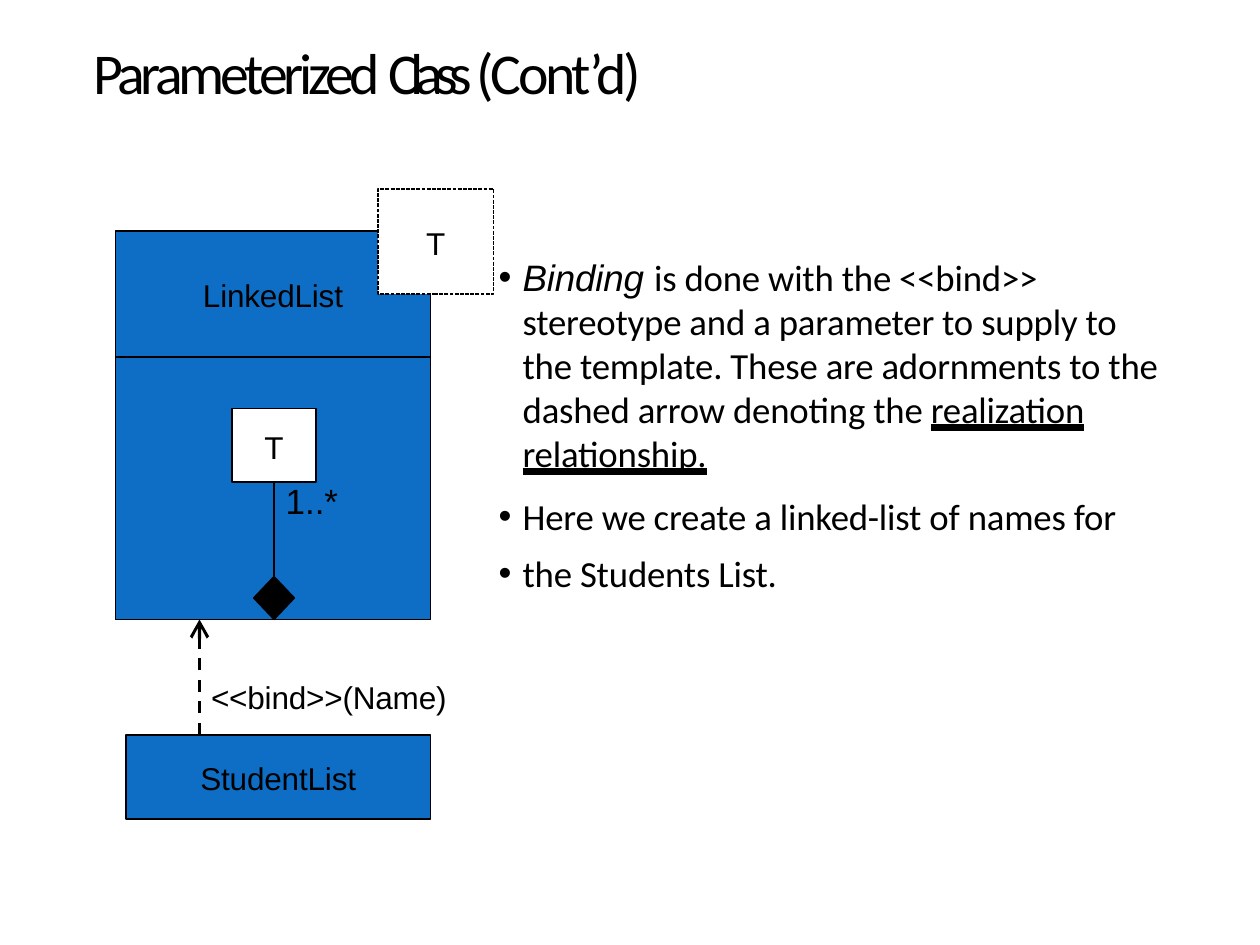
from lxml import etree
from pptx import Presentation
from pptx.dml.color import RGBColor
from pptx.enum.dml import MSO_LINE
from pptx.enum.shapes import MSO_CONNECTOR, MSO_SHAPE
from pptx.enum.text import MSO_ANCHOR, MSO_UNDERLINE, PP_ALIGN
from pptx.oxml.ns import qn
from pptx.util import Inches, Pt

BLACK = RGBColor(0, 0, 0)
WHITE = RGBColor(255, 255, 255)
BLUE = RGBColor(0x0E, 0x6E, 0xC5)
RECT, DIAMOND = MSO_SHAPE.RECTANGLE, MSO_SHAPE.DIAMOND
STRAIGHT = MSO_CONNECTOR.STRAIGHT
DASH, DOTS = MSO_LINE.DASH, MSO_LINE.SQUARE_DOT
MIDDLE, TOP = MSO_ANCHOR.MIDDLE, MSO_ANCHOR.TOP
CENTER, LEFT = PP_ALIGN.CENTER, PP_ALIGN.LEFT
HEAVY = MSO_UNDERLINE.HEAVY_LINE
SANS, BODY = "Arial", "Calibri"
COLS, ROWS = 120, 90


def grid(*cells):
    """Turn grid cells, twelve to the inch, into lengths."""
    return [Inches(cell / 12) for cell in cells]


class Board:
    def __init__(self, deck):
        self.shapes = deck.slides.add_slide(deck.slide_layouts[6]).shapes

    def run(self, para, text, size, font=SANS, track=-0.1, italic=None, line=None):
        """Add a run; track is the letter spacing in points."""
        run = para.add_run()
        run.text = text
        face = run.font
        face.name, face.size, face.italic, face.underline = font, Pt(size), italic, line
        face.color.rgb = BLACK
        face._element.set("spc", str(round(track * 100)))

    def frame(self, shape, anchor, wrap=True):
        frame = shape.text_frame
        frame.word_wrap = wrap
        frame.vertical_anchor = anchor
        frame.margin_left = frame.margin_right = frame.margin_bottom = 0
        frame.margin_top = Inches(0.02)
        return frame

    def box(self, place, fill, text="", kind=RECT, dash=None):
        shape = self.shapes.add_shape(kind, *grid(*place))
        shape.shadow.inherit = False
        shape.fill.solid()
        shape.fill.fore_color.rgb = fill
        shape.line.color.rgb = BLACK
        shape.line.width = Pt(0.75)
        if dash:
            shape.line.dash_style = dash
        if text:
            para = self.frame(shape, MIDDLE).paragraphs[0]
            para.alignment = CENTER
            self.run(para, text, 18)
        return shape

    def label(self, place, runs, size, font=SANS, anchor=TOP):
        shape = self.shapes.add_textbox(*grid(*place))
        para = self.frame(shape, anchor, False).paragraphs[0]
        para.alignment = LEFT
        for text, track in runs:
            self.run(para, text, size, font, track)

    def bullets(self, place, items, size, indent):
        """Each item is a space before and a list of (text, style) runs."""
        frame = self.frame(self.shapes.add_textbox(*grid(*place)), TOP)
        for index, (gap, runs) in enumerate(items):
            para = frame.add_paragraph() if index else frame.paragraphs[0]
            props = para._p.get_or_add_pPr()
            props.set("marL", str(Inches(indent)))
            props.set("indent", str(-Inches(indent)))
            etree.SubElement(props, qn("a:buFont"), typeface=SANS)
            etree.SubElement(props, qn("a:buChar"), char="•")
            para.space_before = Pt(gap)
            for text, style in runs:
                self.run(para, text, size, **style)

    def link(self, start, end, width, dash=None, arrow=False):
        line = self.shapes.add_connector(STRAIGHT, *grid(*start, *end))
        line.line.color.rgb = BLACK
        line.line.width = Pt(width)
        if dash:
            line.line.dash_style = dash
        if arrow:
            etree.SubElement(line.line._get_or_add_ln(), qn("a:tailEnd"),
                             type="arrow", w="lg", len="lg")
        etree.SubElement(line._element.spPr, qn("a:effectLst"))
        return line


def main():
    deck = Presentation()
    deck.slide_width, deck.slide_height = grid(COLS, ROWS)
    board = Board(deck)

    title = [("Parameterized ", -2.5), ("Class ", -4.8), ("(Cont’d)", -1.9)]
    board.label((8.9, 1.5, 97, 10.3), title, 33, BODY, MIDDLE)

    text = {"font": BODY}
    under = {"font": BODY, "line": HEAVY}
    board.bullets((47.5, 24, 63.8, 57), [
        (0, [("Binding ", {"italic": True}),
             ("is done with the <<bind>> stereotype and a parameter to supply to "
              "the template. These are adornments to the dashed arrow denoting the ",
              text),
             ("realization relationship.", under)]),
        (10.8, [("Here we create a linked-list of names for", text)]),
        (7.5, [("the Students List.", text)]),
    ], 21, 0.19)

    left, wide, head, foot = 11, 30, 34, 59
    board.box((left, 22, wide, head - 22), BLUE, "LinkedList")
    board.box((36, 18, 11, 10), WHITE, "T", dash=DOTS)
    board.box((left, head, wide, foot - head), BLUE)

    axis = 26.1
    item = board.box((axis - 4, 38.9, 8, 7), WHITE, "T")
    whole = board.box((axis - 1.95, 54.9, 3.9, 4.1), BLACK, kind=DIAMOND)
    part = board.link((axis, 45.9), (axis, 54.9), 1.5)
    part.begin_connect(item, 2)
    part.end_connect(whole, 0)
    board.label((27.2, 45.4, 5.2, 4.3), [("1..*", 0)], 20)

    board.box((12, 70, 29, 8), BLUE, "StudentList")
    board.link((19, 70), (19, foot), 1.75, DASH, True)
    board.label((20.1, 64.3, 23, 4), [("<<bind>>(Name)", -0.1)], 18)

    deck.save("out.pptx")


if __name__ == "__main__":
    main()
